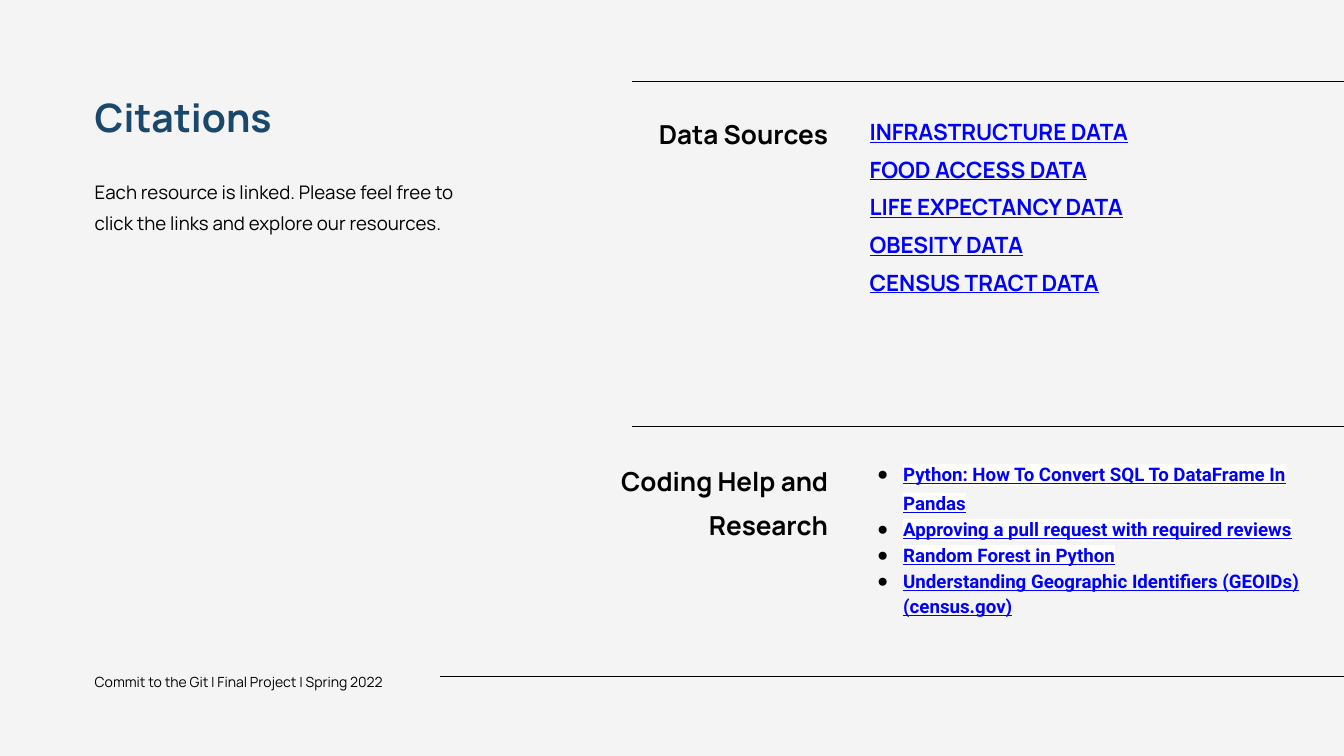
from lxml import etree
from pptx import Presentation
from pptx import util as u
from pptx.dml.color import RGBColor
from pptx.enum import shapes, text
from pptx.oxml import ns

BACKGROUND = RGBColor(0xF4, 0xF4, 0xF4)
NAVY = RGBColor(0x19, 0x48, 0x6A)
BLACK = RGBColor(0, 0, 0)
WHITE = RGBColor(0xFF, 0xFF, 0xFF)
LINK_BLUE = RGBColor(0, 0, 0xFF)

LEFT_MARGIN = 101.5
HEADING_LEFT = 661.7
LIST_LEFT = 931.7
RULE_LEFT, RULE_RIGHT = 676.8, 1521.4

DATA_SOURCES = [
    "INFRASTRUCTURE DATA",
    "FOOD ACCESS DATA",
    "LIFE EXPECTANCY DATA",
    "OBESITY DATA",
    "CENSUS TRACT DATA",
]
# wording, line spacing, highlight
CODING_HELP = [
    ("Python: How To Convert SQL To DataFrame In Pandas", 1.3, WHITE),
    ("Approving a pull request with required reviews", 1.15, WHITE),
    ("Random Forest in Python", 1.15, WHITE),
    ("Understanding Geographic Identifiers (GEOIDs) (census.gov)", 1.15, None),
]


def add_element(parent, tag, **attributes):
    return etree.SubElement(parent, ns.qn(tag), attributes)


class SlideWriter:
    frame_format = {
        "margin_left": 0, "margin_top": 0, "margin_right": 0, "margin_bottom": 0,
        "word_wrap": True,
        "auto_size": text.MSO_AUTO_SIZE.NONE,
        "vertical_anchor": text.MSO_ANCHOR.TOP,
    }

    def __init__(self, slide):
        self.slide = slide
        slide.background.fill.solid()
        slide.background.fill.fore_color.rgb = BACKGROUND

    def place(self, box, left, top, width, height):
        """Move a box and clear its inherited frame settings."""
        sides = {"left": left, "top": top, "width": width, "height": height}
        for name, value in sides.items():
            setattr(box, name, u.Pt(value))
        for name, value in self.frame_format.items():
            setattr(box.text_frame, name, value)
        return box.text_frame

    def paragraph(self, para, words, size, color=BLACK, font="Manrope", bold=False,
                  underline=False, spacing=1.4, align=text.PP_ALIGN.LEFT):
        layout = {"alignment": align, "line_spacing": spacing,
                  "space_before": u.Pt(0), "space_after": u.Pt(0)}
        for name, value in layout.items():
            setattr(para, name, value)
        span = para.add_run()
        span.text = words
        style = {"name": font, "size": u.Pt(size), "bold": bold, "underline": underline}
        for name, value in style.items():
            setattr(span.font, name, value)
        span.font.color.rgb = color
        return span

    def title(self, words, bounds, **style):
        frame = self.place(self.slide.shapes.title, *bounds)
        self.paragraph(frame.paragraphs[0], words, **style)

    def label(self, words, bounds, **style):
        box = self.slide.shapes.add_textbox(0, 0, 0, 0)
        frame = self.place(box, *bounds)
        self.paragraph(frame.paragraphs[0], words, **style)

    def link_list(self, index, items, bounds, bullet=None, **style):
        """Fill a body placeholder with (wording, spacing, highlight) items."""
        frame = self.place(self.slide.placeholders[index], *bounds)
        for number, (words, spacing, highlight) in enumerate(items):
            para = frame.add_paragraph() if number else frame.paragraphs[0]
            span = self.paragraph(para, words, color=LINK_BLUE, bold=True,
                                  underline=True, spacing=spacing, **style)
            self.set_bullet(para, bullet)
            if highlight is not None:
                self.highlight(span, highlight)

    def set_bullet(self, para, bullet):
        properties = para._p.get_or_add_pPr()
        margin, indent = (36, -28) if bullet else (0, 0)
        properties.set("marL", str(u.Pt(margin)))
        properties.set("indent", str(u.Pt(indent)))
        if bullet:
            color = add_element(properties, "a:buClr")
            add_element(color, "a:srgbClr", val=str(BLACK))
            add_element(properties, "a:buChar", char=bullet)
        else:
            add_element(properties, "a:buNone")

    def highlight(self, span, color):
        mark = etree.Element(ns.qn("a:highlight"))
        add_element(mark, "a:srgbClr", val=str(color))
        span._r.get_or_add_rPr().find(ns.qn("a:solidFill")).addnext(mark)

    def rule(self, left, right, top):
        line = self.slide.shapes.add_connector(
            shapes.MSO_CONNECTOR.STRAIGHT,
            u.Pt(left), u.Pt(top), u.Pt(right), u.Pt(top))
        line.line.color.rgb = BLACK
        line.line.width = u.Pt(0.75)
        add_element(line._element.spPr, "a:effectLst")


def main():
    deck = Presentation()
    deck.slide_width, deck.slide_height = u.Pt(1440), u.Pt(810)
    two_content = deck.slide_layouts[3]
    page = SlideWriter(deck.slides.add_slide(two_content))

    page.title("Citations", (LEFT_MARGIN, 87.8, 489, 51),
               size=41.9, color=NAVY, bold=True, spacing=1.25)
    page.label("Each resource is linked. Please feel free to click the links "
               "and explore our resources.", (LEFT_MARGIN, 184.3, 390, 81), size=20)

    sections = [("Data Sources", 87.1, 113, 38),
                ("Coding Help and Research", 457.2, 485.3, 77)]
    for heading, rule_top, top, height in sections:
        page.rule(RULE_LEFT, RULE_RIGHT, rule_top)
        page.label(heading, (HEADING_LEFT, top, 225.4, height),
                   size=28, bold=True, align=text.PP_ALIGN.RIGHT)

    page.link_list(1, [(name, 1.4, None) for name in DATA_SOURCES],
                   (LIST_LEFT, 115.2, 370, 227.5), size=24)
    page.link_list(2, CODING_HELP, (LIST_LEFT, 488.9, 508.3, 320),
                   bullet="●", size=20, font="Roboto")

    page.label("Commit to the Git | Final Project | Spring 2022",
               (LEFT_MARGIN, 714.2, 399.6, 21), size=15)
    page.rule(471.6, 1468.8, 725)

    deck.save("out.pptx")


if __name__ == "__main__":
    main()
